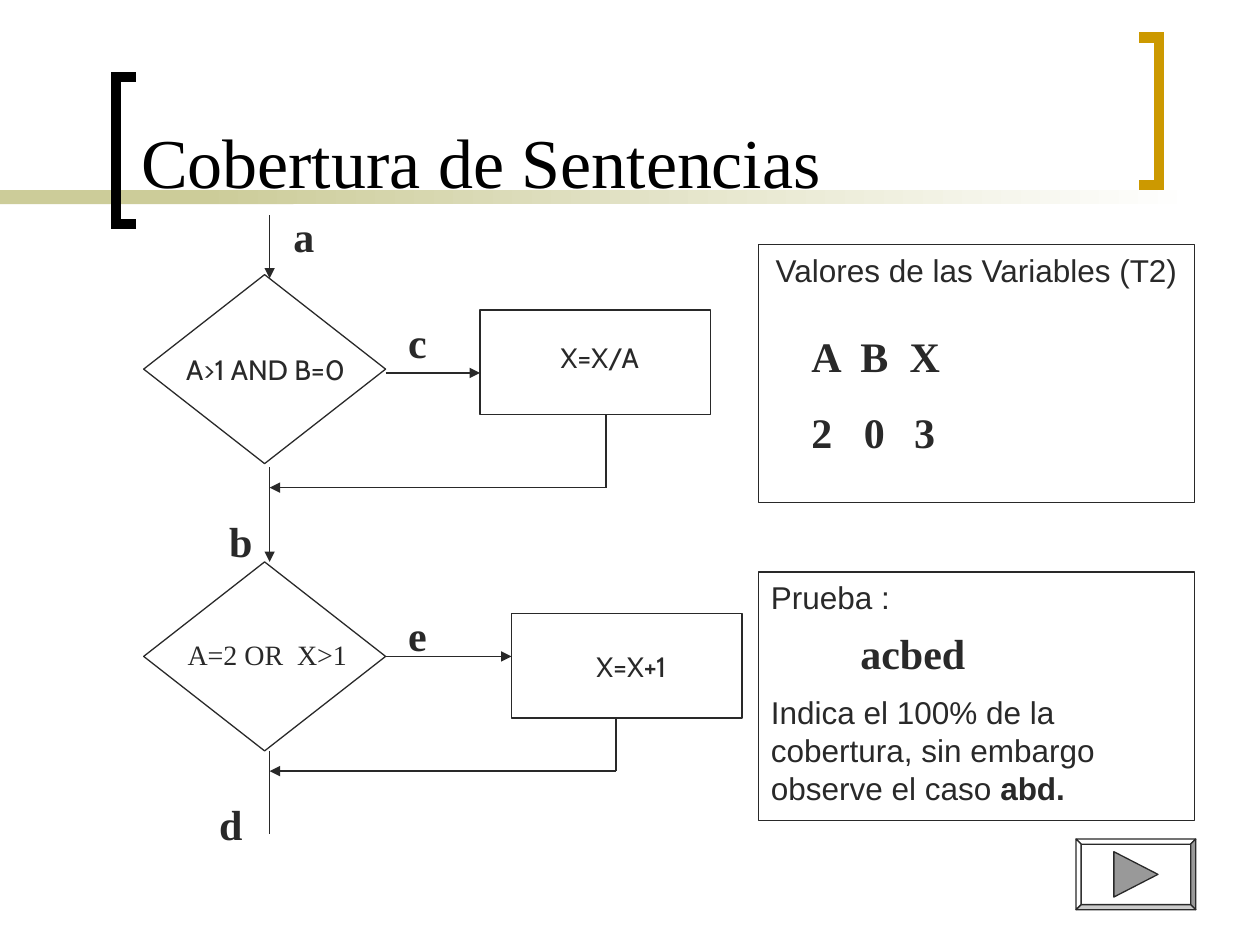
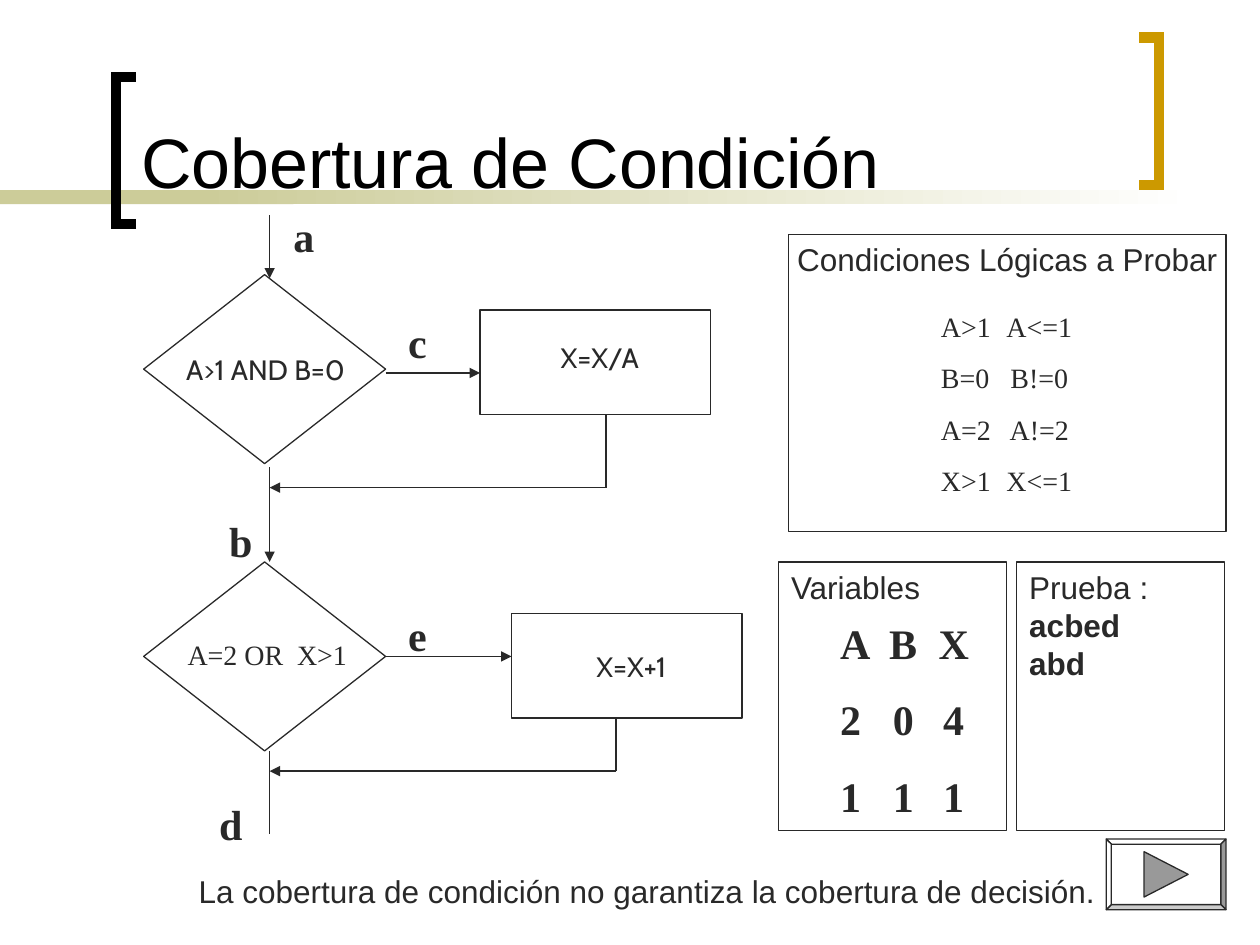
import pptx
import pptx.util
import pptx.dml.color
import pptx.enum.shapes
import pptx.enum.text
import pptx.oxml

Inches = pptx.util.Inches
Pt = pptx.util.Pt
RGBColor = pptx.dml.color.RGBColor
SHAPE = pptx.enum.shapes.MSO_SHAPE
ALIGN = pptx.enum.text.PP_ALIGN
ANCHOR = pptx.enum.text.MSO_ANCHOR
A_NS = 'xmlns:a="http://schemas.openxmlformats.org/drawingml/2006/main"'

INK = RGBColor(0x29, 0x29, 0x29)
BLACK = RGBColor(0, 0, 0)
WHITE = RGBColor(0xFF, 0xFF, 0xFF)
OLIVE = RGBColor(0xCC, 0xCC, 0x99)
GOLD = RGBColor(0xCC, 0x99, 0)
LIGHT_GRAY = RGBColor(0xCC, 0xCC, 0xCC)
MID_GRAY = RGBColor(0x99, 0x99, 0x99)

SERIF, SANS, CODE = "Times New Roman", "Arial", "Cabin"
BODY = {"name": SANS, "size": Pt(18)}
BODY_BOLD = {**BODY, "bold": True}
SMALL = {"name": SERIF, "size": Pt(16)}
SMALL_CODE = {"name": CODE, "size": Pt(16)}
MARK = {"name": SERIF, "size": Pt(24), "bold": True}


def xml(text):
    return pptx.oxml.parse_xml(text)


def set_font(font, fmt, color=INK):
    for key, value in fmt.items():
        setattr(font, key, value)
    font.color.rgb = color


def set_line(sp, color=INK, width=0.75):
    sp.line.color.rgb = color
    sp.line.width = Pt(width)


def write(sp, paragraphs, align=ALIGN.LEFT, anchor=ANCHOR.TOP, wrap=True, before=0, tabs=()):
    tf = sp.text_frame
    for key, value in {"word_wrap": wrap, "vertical_anchor": anchor}.items():
        setattr(tf, key, value)
    for i, runs in enumerate(paragraphs):
        p = tf.paragraphs[0] if i == 0 else tf.add_paragraph()
        p.alignment = align
        p.space_before = Pt(before)
        if tabs:
            stops = "".join(f'<a:tab pos="{Inches(t)}" algn="ctr"/>' for t in tabs)
            p._p.get_or_add_pPr().append(xml(f"<a:tabLst {A_NS}>{stops}</a:tabLst>"))
        for text, fmt in runs:
            r = p.add_run()
            r.text = text
            set_font(r.font, fmt)
    return tf


def add_text(s, x, y, w, h, paragraphs, **options):
    sp = s.shapes.add_textbox(Inches(x), Inches(y), Inches(w), Inches(h))
    write(sp, paragraphs, **options)


def add_box(s, kind, x, y, w, h):
    sp = s.shapes.add_shape(kind, Inches(x), Inches(y), Inches(w), Inches(h))
    sp.shadow.inherit = False
    sp.fill.background()
    set_line(sp)
    return sp


def add_outline(s, points, closed=True):
    (x0, y0), *rest = [(Inches(x), Inches(y)) for x, y in points]
    fb = s.shapes.build_freeform(x0, y0)
    fb.add_line_segments(rest, close=closed)
    sp = fb.convert_to_shape()
    sp.shadow.inherit = False
    return sp


def add_line(s, start, end, arrow):
    ends = [Inches(v) for v in (*start, *end)]
    c = s.shapes.add_connector(pptx.enum.shapes.MSO_CONNECTOR.STRAIGHT, *ends)
    set_line(c)
    if arrow:
        c.line._get_or_add_ln().append(xml(f'<a:tailEnd {A_NS} type="triangle"/>'))
    c._element.spPr.append(xml(f"<a:effectLst {A_NS}/>"))


def add_bracket(s, x_tip, x_spine, y, color):
    bottom = y + 1.17
    sp = add_outline(s, [(x_tip, bottom), (x_spine, bottom), (x_spine, y), (x_tip, y)], closed=False)
    sp.fill.background()
    set_line(sp, color, 6)
    sp.line._get_or_add_ln().append(xml(f'<a:miter {A_NS} lim="800000"/>'))


def add_frame(s, title, font_name):
    band = add_box(s, SHAPE.RECTANGLE, 0, 1.51, 2.33, 0.11)
    band.fill.solid()
    band.fill.fore_color.rgb = OLIVE
    fade = add_box(s, SHAPE.RECTANGLE, 1.58, 1.51, 7.92, 0.11)
    fade.fill.gradient()
    fade.fill.gradient_angle = 0
    for stop, color in zip(fade.fill.gradient_stops, (OLIVE, WHITE)):
        stop.color.rgb = color
    for sp in (band, fade):
        sp.line.fill.background()
    add_bracket(s, 1.08, 0.92, 0.61, BLACK)
    add_bracket(s, 9.04, 9.2, 0.3, GOLD)

    ph = s.shapes.title
    place = {"left": 1.02, "top": 0.11, "width": 7.83, "height": 1.55}
    for key, value in place.items():
        setattr(ph, key, Inches(value))
    tf = write(ph, [[(title, {"name": font_name, "size": Pt(40)})]], anchor=ANCHOR.BOTTOM)
    tf.auto_size = pptx.enum.text.MSO_AUTO_SIZE.NONE
    tf.paragraphs[0].runs[0].font.color.rgb = BLACK
    ph.element.getparent().append(ph.element)


def add_flowchart(s, x, y):
    for dy in (0.56, 2.84):
        add_box(s, SHAPE.FLOWCHART_DECISION, x, y + dy, 1.92, 1.5)
    for dx, dy in ((2.67, 0.84), (2.92, 3.25)):
        add_box(s, SHAPE.RECTANGLE, x + dx, y + dy, 1.83, 0.83)

    trunk, right = 1, 1.92
    lines = [
        ((trunk, 0.09), (trunk, 0.59), True),
        ((right, 1.34), (2.67, 1.34), True),
        ((trunk, 2.09), (trunk, 2.84), True),
        ((3.67, 1.67), (3.67, 2.25), False),
        ((3.67, 2.25), (trunk, 2.25), True),
        ((right, 3.59), (2.92, 3.59), True),
        ((3.75, 4.09), (3.75, 4.5), False),
        ((3.75, 4.5), (trunk, 4.5), True),
        ((trunk, 4.34), (trunk, 5), False),
    ]
    for (x1, y1), (x2, y2), arrow in lines:
        add_line(s, (x + x1, y + y1), (x + x2, y + y2), arrow)

    steps = [
        ("A>1 AND B=0", 0.24, 1.13, 1.73, SMALL_CODE, ALIGN.LEFT),
        ("A=2 OR  X>1", 0.25, 3.39, 1.58, SMALL, ALIGN.LEFT),
        ("X=X+1", 3.08, 3.49, 1.58, SMALL_CODE, ALIGN.CENTER),
        ("X=X/A", 2.83, 1.03, 1.58, SMALL_CODE, ALIGN.CENTER),
    ]
    for text, dx, dy, w, fmt, align in steps:
        add_text(s, x + dx, y + dy, w, 0.37, [[(text, fmt)]], align=align)
    marks = {"a": (1.09, 0), "b": (0.58, 2.42), "c": (2, 0.84), "d": (0.5, 4.67), "e": (2, 3.17)}
    for letter, (dx, dy) in marks.items():
        add_text(s, x + dx, y + dy, 0.42, 0.5, [[(letter, MARK)]])


def add_panel(s, x, y, w, h, paragraphs, **options):
    return write(add_box(s, SHAPE.RECTANGLE, x, y, w, h), paragraphs, **options)


def add_values(s, x, y, rows):
    add_text(s, x, y, 2.42, 0.5 + 0.61 * (len(rows) - 1),
             [[("\t".join(row), MARK)] for row in rows], before=15, tabs=(0.5, 0.9))


def add_next_button(s, x, y, w=0.95, h=0.56, bevel=0.04):
    outer = [(x, y), (x + w, y), (x + w, y + h), (x, y + h)]
    l, t, r, b = x + bevel, y + bevel, x + w - bevel, y + h - bevel
    inner = [(l, t), (r, t), (r, b), (l, b)]
    faces = [(inner, WHITE)]
    for i, color in enumerate((WHITE, MID_GRAY, LIGHT_GRAY, WHITE)):
        j = (i + 1) % 4
        faces.append(([outer[i], outer[j], inner[j], inner[i]], color))
    faces.append(([(x + 0.3, y + 0.1), (x + 0.65, y + 0.28), (x + 0.3, y + 0.46)], MID_GRAY))
    for points, color in faces:
        sp = add_outline(s, points)
        sp.fill.solid()
        sp.fill.fore_color.rgb = color
        set_line(sp)


def new_slide(prs, title, font_name):
    s = prs.slides.add_slide(prs.slide_layouts[5])
    add_frame(s, title, font_name)
    add_flowchart(s, 1.14, 1.62)
    return s


def sentence_slide(prs):
    s = new_slide(prs, "Cobertura de Sentencias", SERIF)
    x, w = 6.02, 3.46
    add_panel(s, x, 1.94, w, 2.05, [[("Valores de las Variables (T2)", BODY)]],
              align=ALIGN.CENTER, wrap=False)
    add_values(s, 6.34, 2.57, ["ABX", "203"])
    tf = add_panel(s, x, 4.54, w, 1.97, [
        [("Prueba :", BODY)],
        [("Indica el 100% de la", BODY)],
        [("cobertura, sin embargo", BODY)],
        [("observe el caso ", BODY), ("abd.", BODY_BOLD)],
    ])
    tf.paragraphs[1].space_before = Pt(44)
    add_text(s, 6.73, 4.93, 1.81, 0.5, [[("acbed", MARK)]])
    add_next_button(s, 8.54, 6.66)


def condition_slide(prs):
    s = new_slide(prs, "Cobertura de Condición", SANS)
    add_panel(s, 6.26, 1.86, 3.47, 2.36, [[("Condiciones Lógicas a Probar", BODY)]],
              align=ALIGN.CENTER, wrap=False)
    conditions = ["A>1\tA<=1", "B=0\tB!=0", "A=2\tA!=2", "X>1\tX<=1"]
    add_text(s, 7.37, 2.41, 1.6, 1.59, [[(c, SMALL)] for c in conditions], before=10, tabs=(0.78,))
    add_panel(s, 6.18, 4.46, 1.81, 2.13, [[("Variables", BODY)]])
    add_panel(s, 8.07, 4.46, 1.65, 2.13,
              [[("Prueba :", BODY)], [("acbed", BODY_BOLD)], [("abd", BODY_BOLD)]])
    add_values(s, 6.57, 4.85, ["ABX", "204", "111"])
    add_text(s, 1, 6.88, 8.27, 0.38,
             [[("La cobertura de condición no garantiza la cobertura de decisión.", BODY)]],
             align=ALIGN.CENTER, anchor=ANCHOR.MIDDLE, wrap=False)
    add_next_button(s, 8.78, 6.66)


def main():
    prs = pptx.Presentation()
    prs.slide_width, prs.slide_height = Inches(10), Inches(7.5)
    sentence_slide(prs)
    condition_slide(prs)
    prs.save("out.pptx")


if __name__ == "__main__":
    main()
